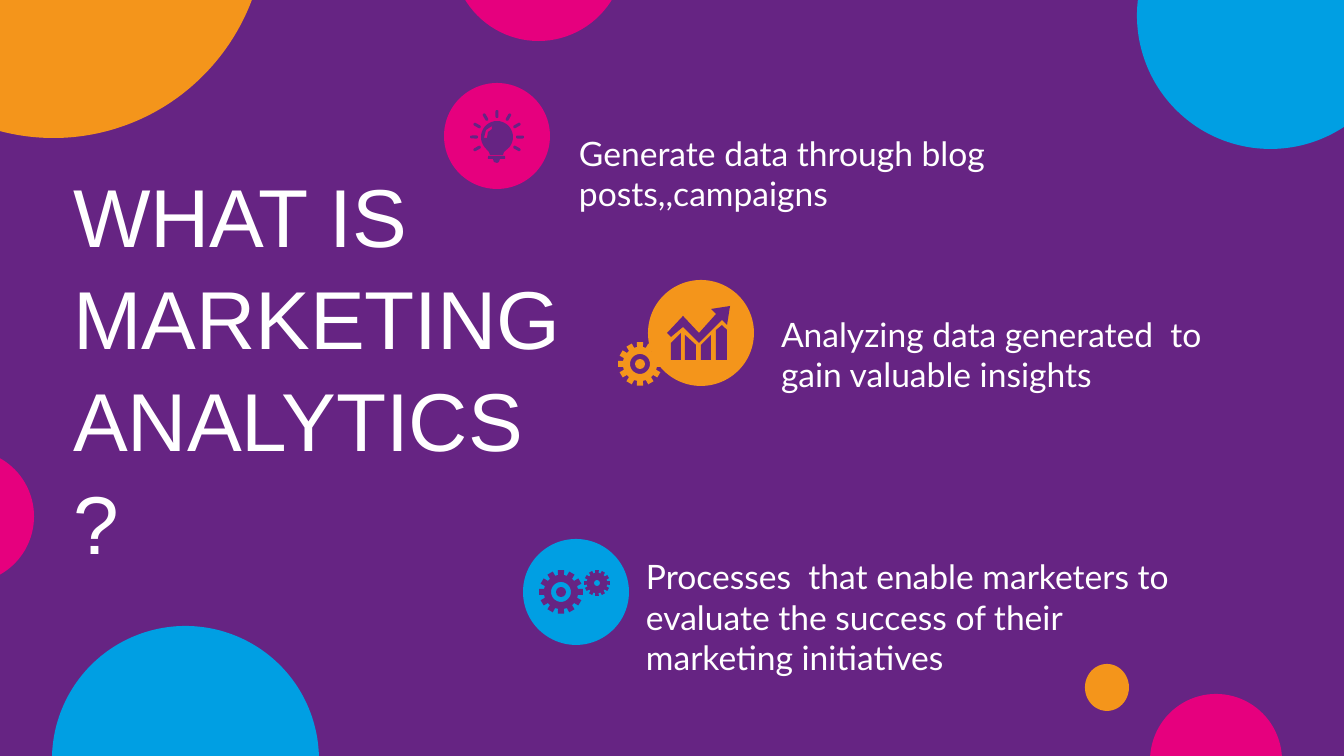
from math import cos, radians, sin

from pptx import Presentation
from pptx.dml.color import RGBColor
from pptx.enum.shapes import MSO_SHAPE
from pptx.enum.text import MSO_ANCHOR
from pptx.util import Emu, Inches, Pt

WIDTH, HEIGHT = 1344, 756
SCALE = Inches(10) / WIDTH

PURPLE = RGBColor(0x66, 0x24, 0x83)
PINK = RGBColor(0xE6, 0x00, 0x7E)
ORANGE = RGBColor(0xF4, 0x95, 0x1B)
BLUE = RGBColor(0x00, 0x9F, 0xE3)
WHITE = RGBColor(0xFF, 0xFF, 0xFF)

BACKDROP = [
    (452, -134, 173, 175, PINK),
    (-98, 450, 132, 133, PINK),
    (-159, -292, 425, 430, ORANGE),
    (52, 626, 267, 267, BLUE),
    (1150, 694, 132, 133, PINK),
    (1137, -118, 267, 267, BLUE),
    (1085, 664, 44, 47, ORANGE),
]
BADGE = 106
INSET = 13

POINTS = [
    ("Generate data through blog posts,,campaigns", 0, 0),
    ("Analyzing data generated  to gain valuable insights", 202, 53.6),
    ("Processes  that enable marketers to evaluate the success of their "
     "marketing initiatives", 67, 86.8),
]

GROWTH = [
    [(681, 333), (671, 343), (671, 360), (681, 360)],
    [(685, 335), (685, 360), (696, 360), (696, 345)],
    [(711, 335), (701, 345), (701, 360), (711, 360)],
    [(722, 325), (716, 330), (716, 360), (727, 360), (727, 330)],
    [(730, 306), (711, 309), (716, 314), (699, 333), (683, 316), (667, 333),
     (671, 337), (683, 327), (699, 343), (722, 320), (727, 325)],
]


def px(length):
    """Turn pixels into EMU."""
    return Emu(round(length * SCALE))


def paint(shape, color):
    """Give a shape a flat fill without line or shadow."""
    shape.fill.solid()
    shape.fill.fore_color.rgb = color
    shape.line.fill.background()
    shape.shadow.inherit = False
    return shape


def add_preset(shapes, kind, left, top, width, height, color):
    """Add a flat preset shape."""
    box = px(left), px(top), px(width), px(height)
    return paint(shapes.add_shape(kind, *box), color)


def add_oval(shapes, left, top, width, height, color):
    """Add a flat oval."""
    return add_preset(shapes, MSO_SHAPE.OVAL, left, top, width, height, color)


def add_outline(shapes, color, *contours):
    """Add a freeform whose later contours are holes in the first."""
    outer, *holes = [[(px(x), px(y)) for x, y in contour] for contour in contours]
    builder = shapes.build_freeform(*outer[0])
    builder.add_line_segments(outer[1:], close=True)
    for hole in holes:
        builder.move_to(*hole[0])
        builder.add_line_segments(hole[1:], close=True)
    return paint(builder.convert_to_shape(), color)


def polar(center, radius, degrees):
    """Return the point at an angle, counted clockwise from the right."""
    angle = radians(degrees)
    return center[0] + radius * cos(angle), center[1] + radius * sin(angle)


def arc(center, radius, start, stop):
    """Return points along an arc."""
    return [polar(center, radius, degrees) for degrees in range(start, stop, 10)]


def add_gear(shapes, center, radius, hole, color):
    """Add a gear with twelve teeth and a round hole."""
    root = radius * 0.78
    tooth = [(root, -10), (radius, -8), (radius, 8), (root, 10)]
    rim = [polar(center, reach, turn + offset)
           for turn in range(0, 360, 30) for reach, offset in tooth]
    add_outline(shapes, color, rim, arc(center, hole, 0, 360))


def add_hubbed_gear(shapes, center, color):
    """Add a large gear with a hub in its hole."""
    add_gear(shapes, center, 22, 10, color)
    add_oval(shapes, center[0] - 5, center[1] - 5, 10, 10, color)


def add_bulb(shapes, center):
    """Add a shining light bulb."""
    glass = arc(center, 16, 140, 401) + [(504, 152), (503, 155), (490, 155), (489, 152)]
    gleam = [(492, 126), (486, 130), (484, 138), (487, 138), (488, 132), (492, 129)]
    add_outline(shapes, PURPLE, glass, gleam)
    add_preset(shapes, MSO_SHAPE.ROUNDED_RECTANGLE, 488, 156, 17, 3, PURPLE)
    add_outline(shapes, PURPLE, [(493, 159), (500, 159), (499, 162), (497, 163), (494, 162)])
    for degrees in range(150, 391, 30):
        x, y = polar(center, 23, degrees)
        ray = add_preset(shapes, MSO_SHAPE.ROUNDED_RECTANGLE, x - 4, y - 1.5, 8, 3, PURPLE)
        ray.adjustments[0] = 0.5
        ray.rotation = degrees


def add_frame(slide, left, top, width, height):
    """Add a wrapping text box and return its text frame."""
    frame = slide.shapes.add_textbox(px(left), px(top), px(width), px(height)).text_frame
    frame.word_wrap = True
    frame.margin_left = frame.margin_right = px(INSET)
    frame.margin_top = frame.margin_bottom = px(INSET)
    return frame


def write(paragraph, text, font, size):
    """Fill a paragraph with white text."""
    paragraph.text = text
    paragraph.font.name = font
    paragraph.font.size = Pt(size)
    paragraph.font.color.rgb = WHITE


def add_title(slide):
    """Add the question on the left."""
    frame = add_frame(slide, 60, 226, 517, 280)
    frame.vertical_anchor = MSO_ANCHOR.MIDDLE
    question = frame.paragraphs[0]
    write(question, "WHAT IS MARKETING ANALYTICS?", "Arial", 44)
    question.line_spacing = 1.04


def add_points(slide):
    """Add the three answers, each indented to follow its badge."""
    frame = add_frame(slide, 566, 44, 661, 672)
    frame.margin_top = px(89)
    for index, (text, indent, gap) in enumerate(POINTS):
        answer = frame.add_paragraph() if index else frame.paragraphs[0]
        write(answer, text, "Lato", 18)
        answer.space_before = Pt(gap)
        answer._p.get_or_add_pPr().set("marL", str(px(indent)))


def add_badges(slide):
    """Add the round badges with their icons."""
    shapes = slide.shapes
    add_oval(shapes, 444, 83, BADGE, BADGE, PINK)
    add_bulb(shapes.add_group_shape().shapes, (497, 137))

    add_hubbed_gear(shapes.add_group_shape().shapes, (640, 364), ORANGE)
    add_oval(shapes, 648, 280, BADGE, BADGE, ORANGE)
    growth = shapes.add_group_shape().shapes
    for contour in GROWTH:
        add_outline(growth, PURPLE, contour)

    add_oval(shapes, 523, 539, BADGE, BADGE, BLUE)
    gears = shapes.add_group_shape().shapes
    add_hubbed_gear(gears, (561, 592), PURPLE)
    add_gear(gears, (597, 583), 13, 3, PURPLE)


def main():
    """Build and save the slide."""
    deck = Presentation()
    deck.slide_width, deck.slide_height = px(WIDTH), px(HEIGHT)
    slide = deck.slides.add_slide(deck.slide_layouts[6])
    slide.background.fill.solid()
    slide.background.fill.fore_color.rgb = PURPLE
    for circle in BACKDROP:
        add_oval(slide.shapes, *circle)
    add_title(slide)
    add_points(slide)
    add_badges(slide)
    deck.save("out.pptx")


if __name__ == "__main__":
    main()
